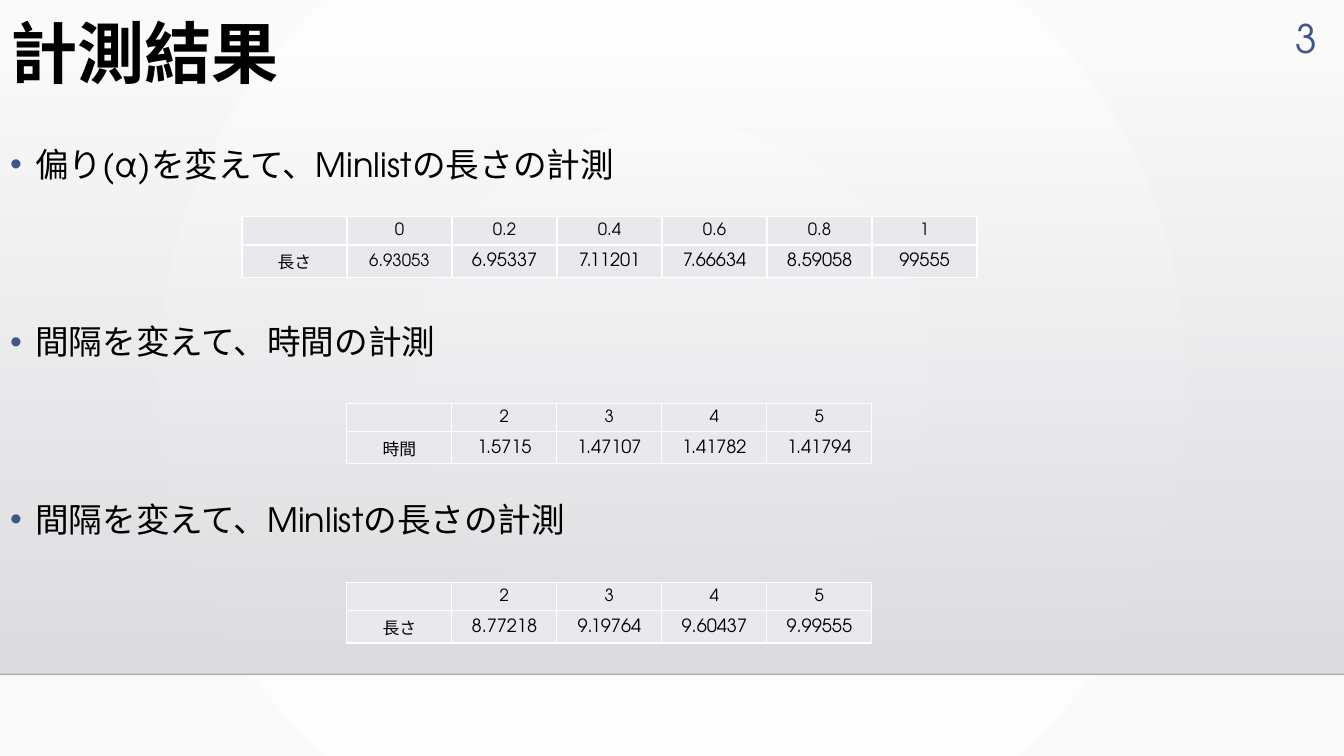
from dataclasses import dataclass
from typing import Any

from lxml.etree import SubElement
from pptx import Presentation
from pptx.dml.color import RGBColor
from pptx.enum.shapes import MSO_CONNECTOR, MSO_SHAPE
from pptx.enum.text import MSO_ANCHOR, MSO_AUTO_SIZE, PP_ALIGN
from pptx.oxml.ns import qn
from pptx.slide import Slide
from pptx.util import Inches, Pt

FONT = "TeX Gyre Adventor"
BLACK = RGBColor(0x00, 0x00, 0x00)
WHITE = RGBColor(0xFF, 0xFF, 0xFF)
OFF_WHITE = RGBColor(0xFA, 0xFA, 0xFA)
FLOOR_TOP = RGBColor(0xDC, 0xDC, 0xE0)
FLOOR_BOTTOM = RGBColor(0xDE, 0xDE, 0xE2)
HORIZON = RGBColor(0x00, 0x00, 0x01)
ACCENT = RGBColor(0x41, 0x55, 0x88)
CELL = RGBColor(0xE9, 0xE9, 0xED)

SLIDE_WIDTH, SLIDE_HEIGHT = 13.33, 7.5
FLOOR_Y = 6.69
COLUMN_WIDTH = 7.29 / 7
ROW_HEIGHTS = (0.28, 0.32)
CELL_FORMAT = {
    "vertical_anchor": MSO_ANCHOR.MIDDLE,
    "margin_left": Inches(0.01),
    "margin_right": Inches(0.01),
    "margin_top": Inches(0.01),
    "margin_bottom": 0,
}


@dataclass(frozen=True)
class Measurement:
    heading: str
    left: float
    top: float
    parameters: tuple[str, ...]
    label: str
    results: tuple[str, ...]
    first_result_size: int = 13


MEASUREMENTS = (
    Measurement("偏り(α)を変えて、Minlistの長さの計測", 2.4, 2.15,
                ("0", "0.2", "0.4", "0.6", "0.8", "1"), "長さ",
                ("6.93053", "6.95337", "7.11201", "7.66634", "8.59058", "99555"), 12),
    Measurement("間隔を変えて、時間の計測", 3.44, 4, ("2", "3", "4", "5"), "時間",
                ("1.5715", "1.47107", "1.41782", "1.41794")),
    Measurement("間隔を変えて、Minlistの長さの計測", 3.44, 5.78, ("2", "3", "4", "5"), "長さ",
                ("8.77218", "9.19764", "9.60437", "9.99555")),
)


def set_format(target: Any, values: dict[str, Any]) -> None:
    for name, value in values.items():
        setattr(target, name, value)


def place(shape: Any, left: float, top: float, width: float, height: float) -> None:
    set_format(shape, {"left": Inches(left), "top": Inches(top),
                       "width": Inches(width), "height": Inches(height)})


def add_text(paragraph: Any, text: str, size: float, color: RGBColor = BLACK,
             bold: bool = False) -> None:
    run = paragraph.add_run()
    run.text = text
    set_format(run.font, {"name": FONT, "size": Pt(size), "bold": bold})
    run.font.color.rgb = color


def set_gradient(fill: Any, start: RGBColor, end: RGBColor) -> None:
    fill.gradient()
    for stop, color in zip(fill.gradient_stops, (start, end)):
        stop.color.rgb = color


def set_alpha(color_element: Any, percent: int) -> None:
    SubElement(color_element, qn("a:alpha"), val=str(percent * 1000))


def draw_background(slide: Slide) -> None:
    set_gradient(slide.background.fill, WHITE, OFF_WHITE)
    gradient = slide.element.find(".//" + qn("p:bgPr")).find(qn("a:gradFill"))
    gradient.remove(gradient.find(qn("a:lin")))
    radial = SubElement(gradient, qn("a:path"), path="circle")
    SubElement(radial, qn("a:fillToRect"), l="50000", t="50000", r="50000", b="50000")

    floor = slide.shapes.add_shape(MSO_SHAPE.RECTANGLE, 0, Inches(0.51),
                                   Inches(SLIDE_WIDTH), Inches(FLOOR_Y - 0.51))
    floor.shadow.inherit = False
    floor.line.fill.background()
    set_gradient(floor.fill, FLOOR_TOP, FLOOR_BOTTOM)
    floor.fill.gradient_angle = 270
    set_alpha(floor.element.spPr.find(".//" + qn("a:srgbClr")), 0)

    horizon = slide.shapes.add_connector(MSO_CONNECTOR.STRAIGHT, 0, Inches(FLOOR_Y),
                                         Inches(SLIDE_WIDTH), Inches(FLOOR_Y))
    horizon.line.width = Pt(1)
    horizon.line.color.rgb = HORIZON
    properties = horizon.element.spPr
    set_alpha(properties.find(".//" + qn("a:srgbClr")), 20)
    SubElement(properties, qn("a:effectLst"))

    tree = floor.element.getparent()
    for position, part in enumerate((floor, horizon), start=2):
        tree.insert(position, part.element)


def fill_title(slide: Slide) -> None:
    title = slide.shapes.title
    place(title, 0, 0.15, 12.1, 1.15)
    set_format(title.text_frame, {"vertical_anchor": MSO_ANCHOR.TOP, "word_wrap": True,
                                  "auto_size": MSO_AUTO_SIZE.NONE})
    heading = title.text_frame.paragraphs[0]
    set_format(heading, {"alignment": PP_ALIGN.LEFT, "line_spacing": 0.9})
    add_text(heading, "計測結果", 48, bold=True)


def fill_headings(slide: Slide) -> None:
    body = slide.placeholders[1]
    place(body, 0, 1.3, 12.1, 5.4)
    frame = body.text_frame
    set_format(frame, {"vertical_anchor": MSO_ANCHOR.TOP, "word_wrap": True,
                       "auto_size": MSO_AUTO_SIZE.NONE})
    for index, measurement in enumerate(MEASUREMENTS):
        heading = frame.add_paragraph() if index else frame.paragraphs[0]
        set_format(heading, {"line_spacing": 1.2, "space_after": Pt(0),
                             "space_before": Pt(92 if index else 0)})
        properties = heading._p.get_or_add_pPr()
        properties.set("marL", str(Inches(0.25)))
        properties.set("indent", str(Inches(-0.25)))
        bullet_color = SubElement(properties, qn("a:buClr"))
        SubElement(bullet_color, qn("a:srgbClr"), val=str(ACCENT))
        SubElement(properties, qn("a:buFont"), typeface="Arial")
        SubElement(properties, qn("a:buChar"), char="•")
        add_text(heading, measurement.heading, 24)


def add_page_number(slide: Slide) -> None:
    box = slide.shapes.add_textbox(Inches(12.27), Inches(0.1), Inches(0.89), Inches(0.55))
    set_format(box.text_frame, {"word_wrap": True, "vertical_anchor": MSO_ANCHOR.MIDDLE})
    number = box.text_frame.paragraphs[0]
    number.alignment = PP_ALIGN.RIGHT
    add_text(number, "3", 28, ACCENT)


def fill_cell(cell: Any, text: str, size: int) -> None:
    set_format(cell, CELL_FORMAT)
    paragraph = cell.text_frame.paragraphs[0]
    paragraph.alignment = PP_ALIGN.CENTER
    if text:
        add_text(paragraph, text, size)
    else:
        SubElement(paragraph._p, qn("a:endParaRPr"), sz=str(size * 100))
    properties = cell._tc.get_or_add_tcPr()
    for side in ("a:lnL", "a:lnR", "a:lnT", "a:lnB"):
        border = SubElement(properties, qn(side), w=str(Pt(1)))
        SubElement(SubElement(border, qn("a:solidFill")), qn("a:srgbClr"), val=str(WHITE))
    cell.fill.solid()
    cell.fill.fore_color.rgb = CELL


def add_measurement_table(slide: Slide, measurement: Measurement) -> None:
    rows = (("", *measurement.parameters), (measurement.label, *measurement.results))
    count = len(rows[0])
    table = slide.shapes.add_table(
        len(rows), count, Inches(measurement.left), Inches(measurement.top),
        Inches(COLUMN_WIDTH * count), Inches(sum(ROW_HEIGHTS))).table
    set_format(table, {"first_row": False, "horz_banding": False})
    for row, height in zip(table.rows, ROW_HEIGHTS):
        row.height = Inches(height)
    sizes = ((12,) * count, (12, measurement.first_result_size, *(13,) * (count - 2)))
    for r, row in enumerate(rows):
        for c, text in enumerate(row):
            fill_cell(table.cell(r, c), text, sizes[r][c])


def main() -> None:
    presentation = Presentation()
    set_format(presentation, {"slide_width": Inches(SLIDE_WIDTH),
                              "slide_height": Inches(SLIDE_HEIGHT)})
    slide = presentation.slides.add_slide(presentation.slide_layouts[1])
    draw_background(slide)
    fill_title(slide)
    fill_headings(slide)
    add_page_number(slide)
    for measurement in MEASUREMENTS:
        add_measurement_table(slide, measurement)
    presentation.save("out.pptx")


if __name__ == "__main__":
    main()
